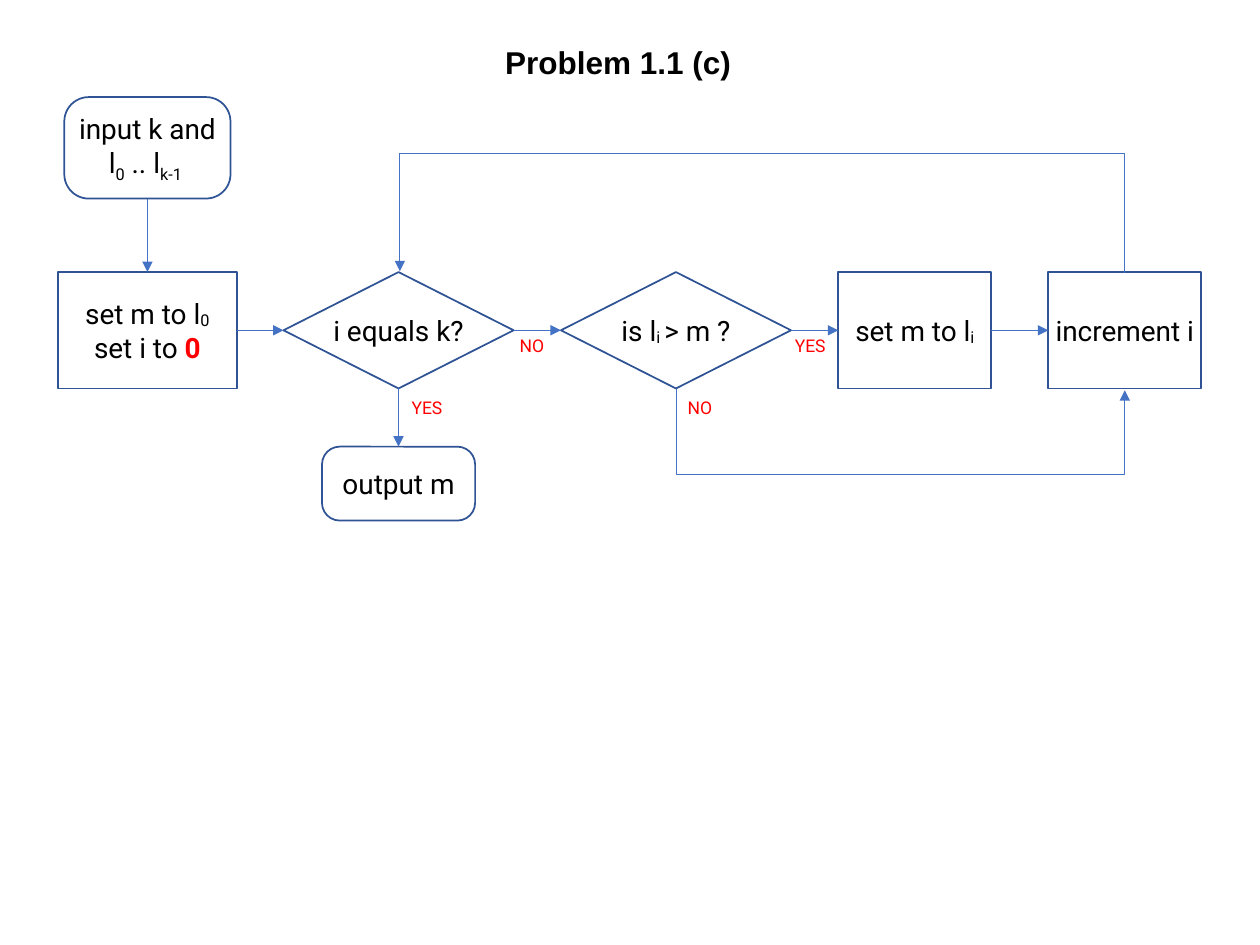
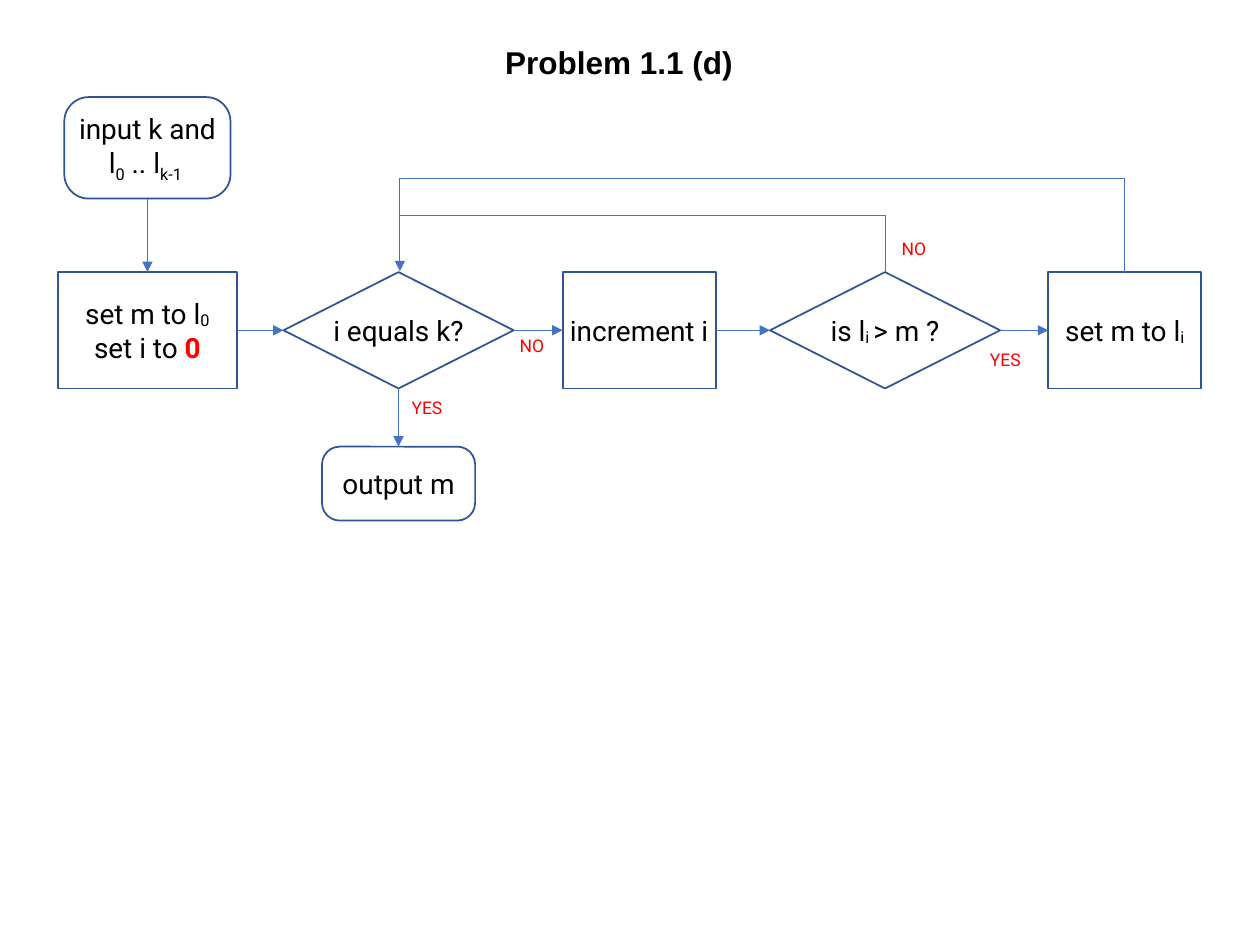
import pptx
import pptx.dml.color
import pptx.enum.shapes
import pptx.enum.text
import pptx.oxml
import pptx.oxml.ns
import pptx.util

Pt = pptx.util.Pt
SHAPE = pptx.enum.shapes.MSO_SHAPE
CONNECTOR = pptx.enum.shapes.MSO_CONNECTOR
ALIGN = pptx.enum.text.PP_ALIGN
ANCHOR = pptx.enum.text.MSO_ANCHOR

BLACK, WHITE, RED = "000000", "FFFFFF", "FF0000"
OUTLINE, ARROW = "2F5394", "4472C4"
TOP, LEFT, BOTTOM, RIGHT = range(4)

ROW_TOP, ROW_HEIGHT = 155.5, 66.5
ROW_BOTTOM = ROW_TOP + ROW_HEIGHT
BOX_WIDTH, DIAMOND_WIDTH = 87.5, 131.5
LAST_LEFT = 599
LAST_CENTER = LAST_LEFT + BOX_WIDTH / 2
TEST_LEFT = 162
TEST_CENTER = TEST_LEFT + DIAMOND_WIDTH / 2

SET_M_TO_ITEM = [["set m to l", ("i", {"baseline": -6})]]
IS_ITEM_LARGER = [["is l", ("i ", {"baseline": -6}), "> m ?"]]
INCREMENT = [["increment i"]]


def rgb(hex_color):
    return pptx.dml.color.RGBColor.from_string(hex_color)


def write(shape, paragraphs, size=16, font="Roboto", color=BLACK, bold=False,
          align=ALIGN.CENTER, anchor=ANCHOR.MIDDLE, wrap=True, inset=2):
    """Fill a shape with paragraphs, each a list of texts or (text, overrides)."""
    frame = shape.text_frame
    frame.word_wrap = wrap
    frame.vertical_anchor = anchor
    frame.margin_left = frame.margin_right = Pt(inset)
    frame.margin_top = frame.margin_bottom = Pt(min(inset, 3.6))
    for index, pieces in enumerate(paragraphs):
        paragraph = frame.add_paragraph() if index else frame.paragraphs[0]
        paragraph.alignment = align
        for piece in pieces:
            text, own = (piece, {}) if isinstance(piece, str) else piece
            run = paragraph.add_run()
            run.text = text
            run.font.name = font
            run.font.size = Pt(size)
            run.font.bold = own.get("bold", bold)
            run.font.color.rgb = rgb(own.get("color", color))
            if "baseline" in own:
                run.font._element.set("baseline", str(own["baseline"] * 1000))


def add_title(slide, text):
    title = slide.shapes.title
    title.left, title.top, title.width, title.height = map(Pt, (281.5, 21, 145, 29))
    write(title, [[text]], size=18, font="Arial", bold=True, align=ALIGN.LEFT,
          anchor=ANCHOR.TOP, wrap=False, inset=7.2)


def add_step(slide, kind, left, paragraphs, width=BOX_WIDTH, top=ROW_TOP,
             height=ROW_HEIGHT):
    step = slide.shapes.add_shape(kind, Pt(left), Pt(top), Pt(width), Pt(height))
    step.shadow.inherit = False
    step.fill.solid()
    step.fill.fore_color.rgb = rgb(WHITE)
    step.line.color.rgb = rgb(OUTLINE)
    step.line.width = Pt(1)
    if kind == SHAPE.ROUNDED_RECTANGLE:
        step.adjustments[0] = 0.24
    write(step, paragraphs, wrap=kind != SHAPE.DIAMOND)
    return step


def add_decision(slide, left, paragraphs):
    return add_step(slide, SHAPE.DIAMOND, left, paragraphs, width=DIAMOND_WIDTH)


def add_answer(slide, text, left, top):
    """Label a branch YES or NO."""
    width = 24.5 if text == "YES" else 19.5
    answer = slide.shapes.add_textbox(Pt(left), Pt(top), Pt(width), Pt(16.5))
    write(answer, [[text]], size=10, color=RED, wrap=False)


def style_connector(connector, head=True):
    connector.line.color.rgb = rgb(ARROW)
    connector.line.width = Pt(0.5)
    if head:
        line = connector.line._get_or_add_ln()
        pptx.oxml.ns.qn("a:tailEnd")
        line.append(pptx.oxml.parse_xml(
            f'<a:tailEnd {pptx.oxml.ns.nsdecls("a")} type="triangle"/>'))
    connector._element.spPr.append(pptx.oxml.parse_xml(
        f'<a:effectLst {pptx.oxml.ns.nsdecls("a")}/>'))


def add_arrow(slide, start, end, start_side=RIGHT, end_side=LEFT):
    arrow = slide.shapes.add_connector(CONNECTOR.STRAIGHT, 0, 0, 0, 0)
    arrow.begin_connect(start, start_side)
    arrow.end_connect(end, end_side)
    style_connector(arrow)


def add_detour(slide, start, end, level, head=True):
    """Draw an elbow that goes vertically to level, across, then to end."""
    (x1, y1), (x2, y2) = start, end
    run, rise = abs(x2 - x1), abs(y2 - y1)
    left, top = (x1 + x2 - rise) / 2, (y1 + y2 - run) / 2
    detour = slide.shapes.add_connector(
        CONNECTOR.ELBOW, Pt(left), Pt(top), Pt(left + rise), Pt(top + run))
    frame = detour._element.spPr.find(pptx.oxml.ns.qn("a:xfrm"))
    frame.set("rot", str(270 * 60000))
    if y2 > y1:
        frame.set("flipH", "1")
    if x2 < x1:
        frame.set("flipV", "1")
    bend = round((level - y1) / (y2 - y1) * 100000)
    guides = detour._element.spPr.find(pptx.oxml.ns.qn("a:prstGeom")).find(
        pptx.oxml.ns.qn("a:avLst"))
    guides.append(pptx.oxml.parse_xml(
        f'<a:gd {pptx.oxml.ns.nsdecls("a")} name="adj1" fmla="val {bend}"/>'))
    style_connector(detour, head)


def start_flowchart(deck, title):
    """Add a slide with the steps both flowcharts share; return it and its loop test."""
    slide = deck.slides.add_slide(deck.slide_layouts[5])
    add_title(slide, title)
    source = add_step(
        slide, SHAPE.ROUNDED_RECTANGLE, 36.75,
        [["input k and l", ("0", {"baseline": -25}), " .. l",
          ("k-1 ", {"baseline": -25})]],
        width=95, top=55.5, height=58)
    setup = add_step(
        slide, SHAPE.RECTANGLE, 33,
        [["set m to l", ("0", {"baseline": -6})],
         ["set i to ", ("0", {"color": RED, "bold": True})]],
        width=102.5)
    loop_test = add_decision(slide, TEST_LEFT, [["i equals k?"]])
    output = add_step(slide, SHAPE.ROUNDED_RECTANGLE, TEST_CENTER - BOX_WIDTH / 2,
                      [["output m"]], top=255.25, height=42.25)
    add_arrow(slide, source, setup, BOTTOM, TOP)
    add_arrow(slide, setup, loop_test)
    add_arrow(slide, loop_test, output, BOTTOM, TOP)
    add_answer(slide, "YES", 231.75, 224.75)
    add_answer(slide, "NO", 294.25, 189.5)
    return slide, loop_test


def add_loop_back(slide, level):
    add_detour(slide, (LAST_CENTER, ROW_TOP + 0.5), (TEST_CENTER + 0.75, ROW_TOP - 0.5),
               level)


def build_problem_c(deck):
    slide, loop_test = start_flowchart(deck, "Problem 1.1 (c)")
    compare_left = 320.5
    compare = add_decision(slide, compare_left, IS_ITEM_LARGER)
    update = add_step(slide, SHAPE.RECTANGLE, 479, SET_M_TO_ITEM)
    increment = add_step(slide, SHAPE.RECTANGLE, LAST_LEFT, INCREMENT)
    for start, end in ((loop_test, compare), (compare, update), (update, increment)):
        add_arrow(slide, start, end)
    add_answer(slide, "YES", 450.75, 189.5)
    add_answer(slide, "NO", 390.25, 224.75)
    add_detour(slide, (compare_left + DIAMOND_WIDTH / 2, ROW_BOTTOM),
               (LAST_CENTER, ROW_BOTTOM + 1), 271.75)
    add_loop_back(slide, 87)


def build_problem_d(deck):
    slide, loop_test = start_flowchart(deck, "Problem 1.1 (d)")
    compare_left = 440
    increment = add_step(slide, SHAPE.RECTANGLE, 321.5, INCREMENT)
    compare = add_decision(slide, compare_left, IS_ITEM_LARGER)
    update = add_step(slide, SHAPE.RECTANGLE, LAST_LEFT, SET_M_TO_ITEM)
    for start, end in ((loop_test, increment), (increment, compare), (compare, update)):
        add_arrow(slide, start, end)
    add_answer(slide, "YES", 562.25, 197.25)
    add_answer(slide, "NO", 512.5, 134)
    merge_level = 123
    add_detour(slide, (compare_left + DIAMOND_WIDTH / 2, ROW_TOP),
               (TEST_CENTER + 0.75, merge_level), merge_level, head=False)
    add_loop_back(slide, 101.5)


def main():
    deck = pptx.Presentation()
    deck.slide_width, deck.slide_height = Pt(720), Pt(540)
    build_problem_c(deck)
    build_problem_d(deck)
    deck.save("out.pptx")


if __name__ == "__main__":
    main()
